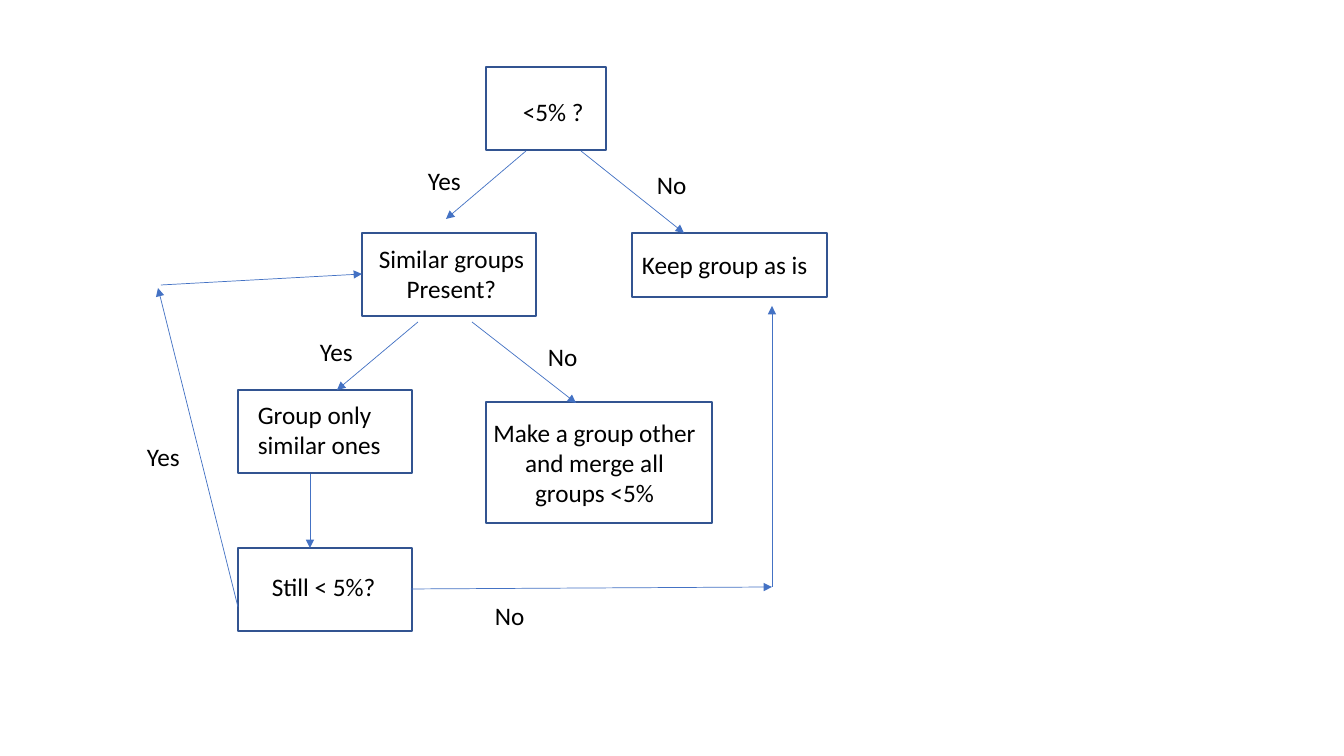
from lxml.etree import SubElement
from pptx import Presentation
from pptx.dml.color import RGBColor
from pptx.enum.shapes import MSO_CONNECTOR, MSO_SHAPE
from pptx.enum.text import MSO_AUTO_SIZE, PP_ALIGN
from pptx.oxml.ns import qn
from pptx.util import Emu, Pt

COLORS = {"text": "000000", "outline": "325491", "arrow": "4472C4"}
SCALE = 914400 / 100.8


def px(*lengths):
    return [Emu(round(length * SCALE)) for length in lengths]


deck = Presentation()
deck.slide_width, deck.slide_height = px(1344, 756)
page = deck.slides.add_slide(deck.slide_layouts[6])

boxes = [
    (486, 67, 120, 83),
    (362, 233, 174, 83),
    (632, 233, 195, 64),
    (238, 390, 174, 83),
    (486, 402, 226, 121),
    (238, 548, 174, 83),
]
for bounds in boxes:
    box = page.shapes.add_shape(MSO_SHAPE.RECTANGLE, *px(*bounds))
    box.shadow.inherit = False
    box.fill.background()
    box.line.color.rgb = RGBColor.from_string(COLORS["outline"])
    box.line.width = Pt(1)

arrows = [
    (526, 151, 446, 219),
    (581, 151, 684, 233),
    (418, 322, 337, 390),
    (472, 322, 576, 403),
    (310, 474, 310, 548),
    (238, 607, 158, 288),
    (161, 285, 362, 274),
    (411, 589, 772, 587),
    (772, 587, 772, 306),
]
for ends in arrows:
    arrow = page.shapes.add_connector(MSO_CONNECTOR.STRAIGHT, *px(*ends))
    arrow.line.color.rgb = RGBColor.from_string(COLORS["arrow"])
    arrow.line.width = Pt(0.5)
    SubElement(arrow.line._get_or_add_ln(), qn("a:tailEnd"), type="triangle")
    SubElement(arrow._element.spPr, qn("a:effectLst"))

LEFT, CENTER = PP_ALIGN.LEFT, PP_ALIGN.CENTER
labels = [
    (["<5% ?"], (513, 91, 82, 40), LEFT, False),
    (["Similar groups", "Present?"], (368, 238, 167, 72), CENTER, False),
    (["Keep group as is"], (632, 244, 188, 40), LEFT, False),
    (["Group only similar ones"], (248, 394, 177, 72), LEFT, True),
    (["Make a group other and merge all groups <5%"], (482, 412, 225, 102), CENTER, True),
    (["Still < 5%?"], (262, 566, 125, 40), LEFT, False),
]
yes_spots = [(418, 160), (310, 331), (137, 436)]
no_spots = [(647, 164), (538, 336), (485, 595)]
for answer, width, spots in [("Yes", 53, yes_spots), ("No", 50, no_spots)]:
    for left, top in spots:
        labels.append(([answer], (left, top, width, 40), LEFT, False))

for lines, bounds, alignment, wraps in labels:
    label = page.shapes.add_textbox(*px(*bounds))
    frame = label.text_frame
    frame.word_wrap = wraps
    frame.auto_size = MSO_AUTO_SIZE.SHAPE_TO_FIT_TEXT
    for index, line in enumerate(lines):
        para = frame.add_paragraph() if index else frame.paragraphs[0]
        para.alignment = alignment
        span = para.add_run()
        span.text = line
        span.font.name = "Calibri"
        span.font.size = Pt(18)
        span.font.color.rgb = RGBColor.from_string(COLORS["text"])

deck.save("out.pptx")
